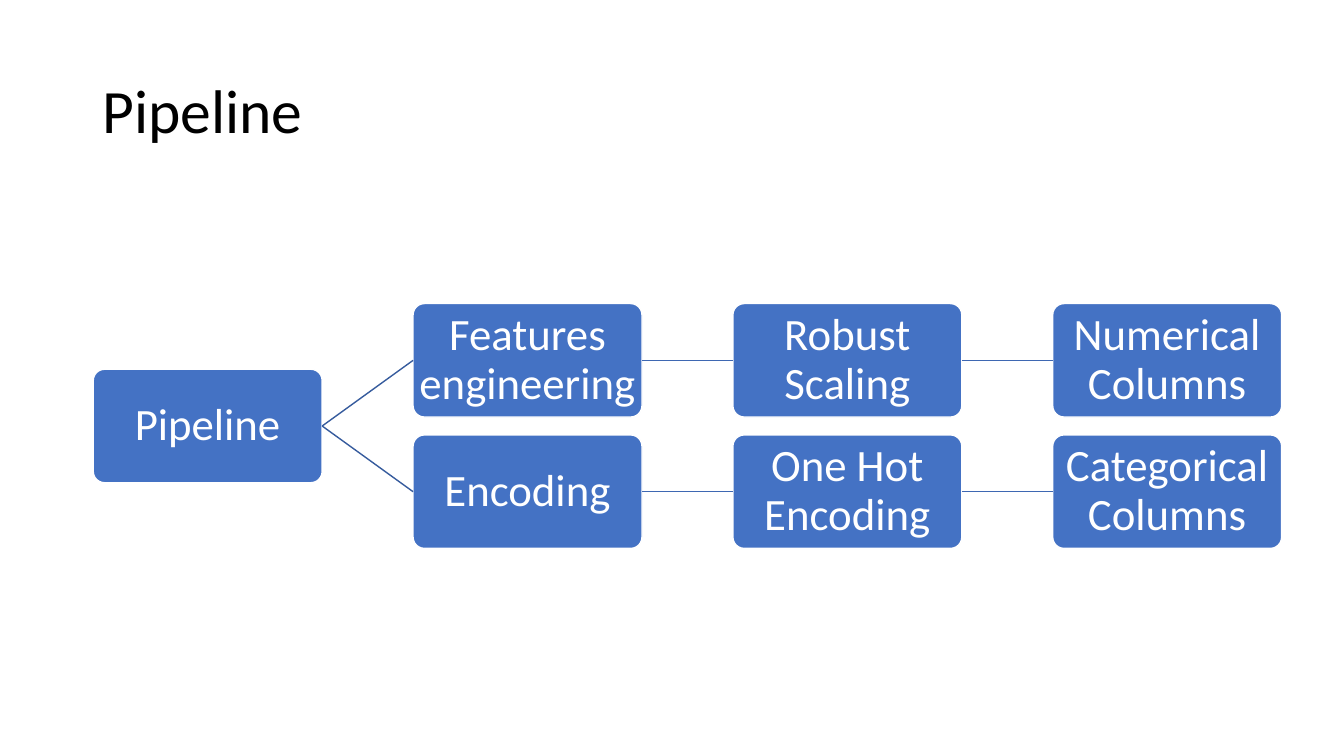
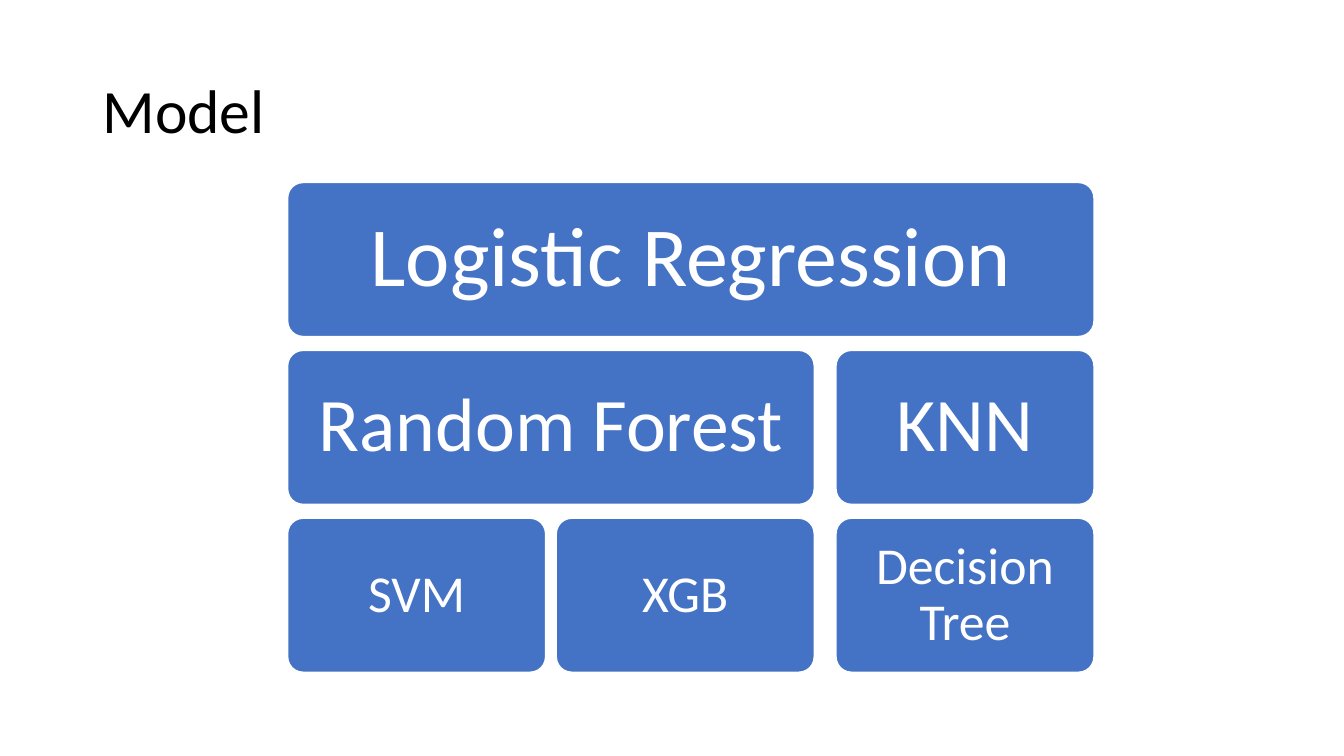
from lxml import etree
from pptx import Presentation
from pptx.dml.color import RGBColor
from pptx.enum.shapes import MSO_CONNECTOR as CONNECTOR, MSO_SHAPE as SHAPE
from pptx.enum.text import MSO_ANCHOR as ANCHOR, MSO_AUTO_SIZE as AUTO_SIZE, PP_ALIGN as ALIGN
from pptx.oxml.ns import qn
from pptx.util import Cm, Pt

COLORS = {
    "title": "000000",
    "box": "4472C4",
    "on_box": "FFFFFF",
    "branch": "365B9D",
    "step": "3E67B2",
}
FONT = "Calibri"


def write(frame, text, size, color, align=ALIGN.LEFT, inset=None):
    frame.word_wrap = True
    frame.auto_size = AUTO_SIZE.NONE
    frame.vertical_anchor = ANCHOR.MIDDLE
    if inset is not None:
        frame.margin_left = frame.margin_right = Cm(inset)
        frame.margin_top = frame.margin_bottom = Cm(inset)
    paragraph = frame.paragraphs[0]
    paragraph.alignment = align
    paragraph.line_spacing = 0.9
    run = paragraph.add_run()
    run.text = text
    run.font.name = FONT
    run.font.size = Pt(size)
    run.font.color.rgb = RGBColor.from_string(COLORS[color])


def add_box(slide, text, left, top, width, height, size, inset):
    """Add a rounded blue box; lengths are in centimetres."""
    box = slide.shapes.add_shape(
        SHAPE.ROUNDED_RECTANGLE, Cm(left), Cm(top), Cm(width), Cm(height))
    box.adjustments[0] = 0.1
    box.shadow.inherit = False
    box.fill.solid()
    box.fill.fore_color.rgb = RGBColor.from_string(COLORS["box"])
    box.line.color.rgb = RGBColor.from_string(COLORS["on_box"])
    box.line.width = Pt(1)
    write(box.text_frame, text, size, "on_box", align=ALIGN.CENTER, inset=inset)
    return box


deck = Presentation()
deck.slide_width, deck.slide_height = Cm(33.87), Cm(19.05)

# Slides with their shared title style
slides = []
for heading in ("Pipeline", "Model"):
    slide = deck.slides.add_slide(deck.slide_layouts[5])
    title = slide.shapes.title
    title.left, title.top = Cm(2.33), Cm(1.01)
    title.width, title.height = Cm(29.21), Cm(3.68)
    write(title.text_frame, heading, 44, "title")
    slides.append(slide)
pipeline_slide, model_slide = slides

# Pipeline: one root, two branches of three steps
branches = [
    ["Features engineering", "Robust Scaling", "Numerical Columns"],
    ["Encoding", "One Hot Encoding", "Categorical Columns"],
]
tree_left, tree_top = 2.35, 7.65
step_width, step_height = 5.77, 2.86
column_pitch, row_pitch = 8.06, 3.31
step_style = {"width": step_width, "height": step_height, "size": 32, "inset": 0.05}

root = add_box(pipeline_slide, "Pipeline", tree_left, tree_top + row_pitch / 2, **step_style)
for row, steps in enumerate(branches):
    previous = root
    for column, label in enumerate(steps, start=1):
        step = add_box(pipeline_slide, label, tree_left + column * column_pitch,
                       tree_top + row * row_pitch, **step_style)
        link = pipeline_slide.shapes.add_connector(CONNECTOR.STRAIGHT, 0, 0, 0, 0)
        link.begin_connect(previous, 3)
        link.end_connect(step, 1)
        link.line.width = Pt(1)
        link.line.color.rgb = RGBColor.from_string(
            COLORS["branch" if previous is root else "step"])
        etree.SubElement(link.element.spPr, qn("a:effectLst"))
        previous = step

# Model: three tiers on a grid of three unequally spaced columns
unit_width, tier_height, tier_pitch = 6.5, 3.88, 4.23
sibling_gap, branch_gap = 0.27, 0.55
pair_width = 2 * unit_width + sibling_gap
full_width = pair_width + branch_gap + unit_width
first, top = 7.25, 4.6
second = first + unit_width + sibling_gap
third = first + pair_width + branch_gap
tiers = [
    (60, 0.63, [("Logistic Regression", first, full_width)]),
    (54, 0.57, [("Random Forest", first, pair_width), ("KNN", third, unit_width)]),
    (37, 0.37, [("SVM", first, unit_width), ("XGB", second, unit_width),
                ("Decision Tree", third, unit_width)]),
]
for row, (size, inset, models) in enumerate(tiers):
    for label, left, width in models:
        add_box(model_slide, label, left, top + row * tier_pitch, width, tier_height,
                size=size, inset=inset)

deck.save("out.pptx")
